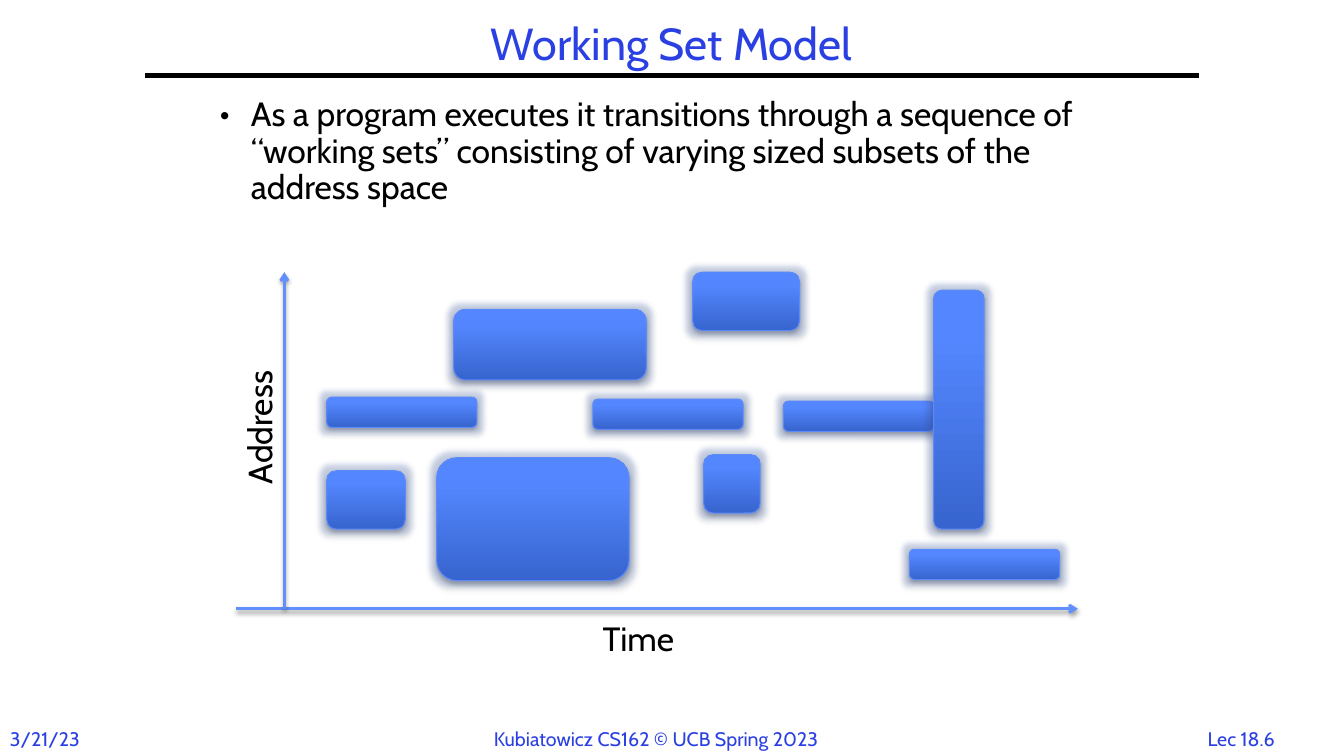
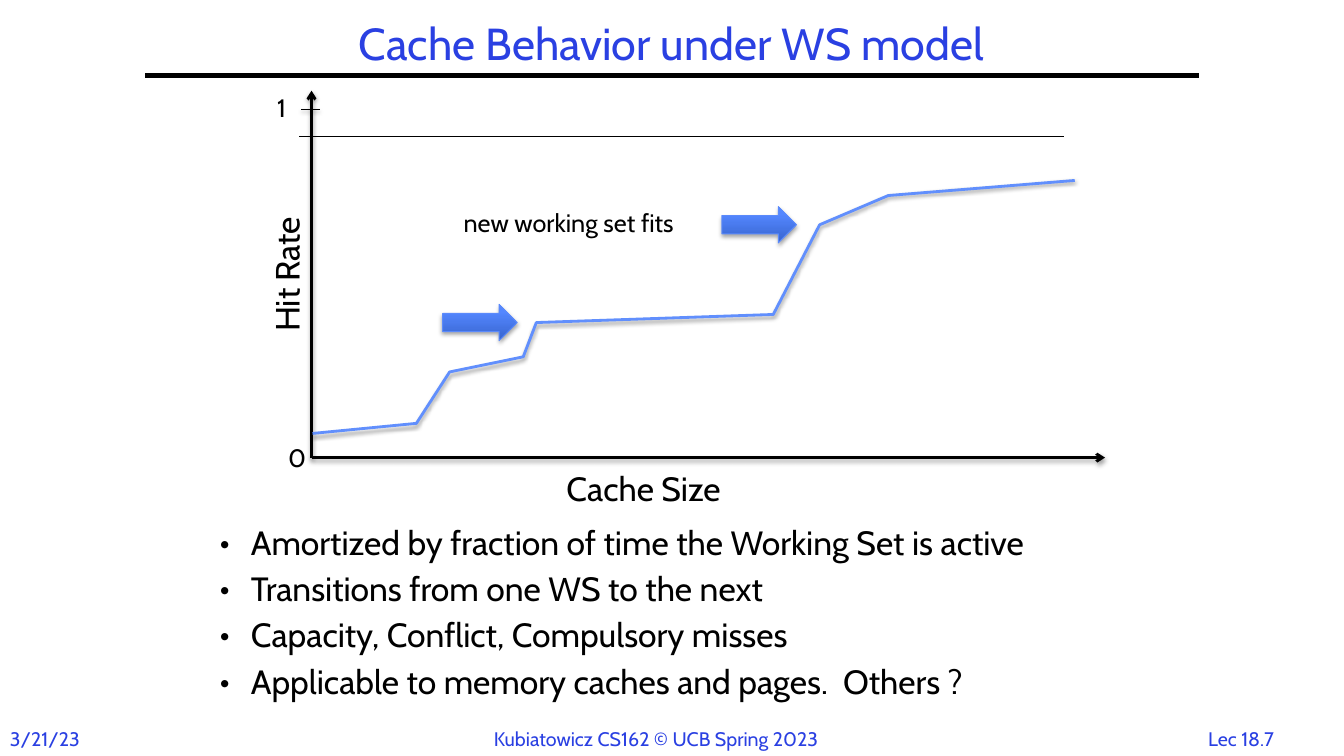
from lxml import etree
from copy import deepcopy
from pptx import Presentation
from pptx.dml.color import RGBColor
from pptx.enum.shapes import MSO_CONNECTOR, MSO_SHAPE
from pptx.enum.text import MSO_ANCHOR, MSO_AUTO_SIZE, PP_ALIGN
from pptx.oxml.ns import qn
from pptx.util import Inches, Pt

FONT = "Cabin"
BLUE = RGBColor(0x2A, 0x40, 0xE2)
BLACK = RGBColor(0, 0, 0)
AXIS_BLUE = RGBColor(0x61, 0x8F, 0xFD)
EDGE_BLUE = RGBColor(0x5B, 0x8A, 0xFB)
HALO_BLUE = RGBColor(0x4A, 0x6C, 0xB4)
GRADIENT = [
    (0, RGBColor(0x37, 0x64, 0xCE)),
    (0.8, RGBColor(0x54, 0x87, 0xFF)),
    (1, RGBColor(0x56, 0x88, 0xFF)),
]

STRAIGHT = MSO_CONNECTOR.STRAIGHT
ROUNDED = MSO_SHAPE.ROUNDED_RECTANGLE
RIGHT_ARROW = MSO_SHAPE.RIGHT_ARROW
LEFT, CENTER = PP_ALIGN.LEFT, PP_ALIGN.CENTER
TITLE_ONLY = 5

DATE = "3/21/23"
COURSE = "Kubiatowicz CS162 © UCB Spring 2023"
LINE_SHADOW = (38, 1.6)
SOLID_SHADOW = (35, 1.8)


def inches(*lengths):
    return [Inches(length) for length in lengths]


def write(para, text, size=24, color=BLACK, align=LEFT, spacing=None):
    para.alignment = align
    para.line_spacing = spacing
    span = para.add_run()
    span.text = text
    span.font.name = FONT
    span.font.size = Pt(size)
    span.font.color.rgb = color


def add_label(page, text, box, rotation=0, **text_format):
    """Place a single line of text that does not wrap."""
    label = page.shapes.add_textbox(*inches(*box))
    label.rotation = rotation
    frame = label.text_frame
    frame.word_wrap = False
    frame.auto_size = MSO_AUTO_SIZE.SHAPE_TO_FIT_TEXT
    write(frame.paragraphs[0], text, **text_format)


def add_effects(shape, shadow=None, halo=False):
    """Replace the theme's effects by a soft drop shadow, a halo, or nothing."""
    properties = shape.element.spPr
    for old in properties.findall(qn("a:effectLst")):
        properties.remove(old)
    effects = etree.SubElement(properties, qn("a:effectLst"))

    def add_effect(tag, color, percent, **settings):
        effect = etree.SubElement(effects, qn(tag), **settings)
        paint = etree.SubElement(effect, qn("a:srgbClr"), val=str(color))
        etree.SubElement(paint, qn("a:alpha"), val=str(percent * 1000))

    if halo:
        add_effect("a:glow", HALO_BLUE, 25, rad=str(Pt(8)))
    if shadow:
        percent, distance = shadow
        add_effect("a:outerShdw", BLACK, percent, blurRad=str(Pt(3.1)),
                   dist=str(Pt(distance)), dir="5400000", rotWithShape="0")


def add_line(page, start, end, color=BLACK, width=2.0, arrow=False,
             shadow=LINE_SHADOW):
    line = page.shapes.add_connector(STRAIGHT, *inches(*start, *end))
    line.line.color.rgb = color
    line.line.width = Pt(width)
    if arrow:
        outline = line.element.spPr.find(qn("a:ln"))
        etree.SubElement(outline, qn("a:tailEnd"), type="arrow")
    add_effects(line, shadow)


def add_axes(page, origin, right, top, start=None, color=BLACK):
    """Draw both axes; the horizontal one may start left of the origin."""
    x, y = origin
    left = x if start is None else start
    add_line(page, (left, y), (right, y), color, arrow=True)
    add_line(page, origin, (x, top), color, arrow=True)


def add_solid(page, kind, box, halo=False):
    """Draw a preset shape with the blue gradient."""
    solid = page.shapes.add_shape(kind, *inches(*box))
    solid.fill.gradient()
    solid.fill.gradient_angle = 90
    stop_list = solid.element.spPr.find(".//" + qn("a:gsLst"))
    stop_list.append(deepcopy(stop_list[-1]))
    for stop, (position, color) in zip(solid.fill.gradient_stops, GRADIENT):
        stop.position = position
        stop.color.rgb = color
    solid.line.color.rgb = EDGE_BLUE
    solid.line.width = Pt(0.75)
    add_effects(solid, SOLID_SHADOW, halo)


def add_curve(page, points):
    first, *rest = [tuple(inches(*point)) for point in points]
    builder = page.shapes.build_freeform(*first)
    builder.add_line_segments(rest, close=False)
    curve = builder.convert_to_shape()
    curve.fill.background()
    curve.line.color.rgb = AXIS_BLUE
    curve.line.width = Pt(2)
    add_effects(curve, LINE_SHADOW)


def add_bullets(page, items, box):
    frame = page.shapes.add_textbox(*inches(*box)).text_frame
    frame.word_wrap = True
    for index, item in enumerate(items):
        para = frame.add_paragraph() if index else frame.paragraphs[0]
        write(para, item, spacing=0.9)
        para.space_before = Pt(7.2 if index else 0)
        settings = para._p.get_or_add_pPr()
        settings.set("marL", str(Inches(0.31)))
        settings.set("indent", str(-Inches(0.31)))
        etree.SubElement(settings, qn("a:buFont"), typeface=FONT)
        etree.SubElement(settings, qn("a:buChar"), char="•")


def add_page(deck, title, number):
    """Add a slide with its title, rule and footer."""
    page = deck.slides.add_slide(deck.slide_layouts[TITLE_ONLY])
    heading = page.shapes.title
    heading.left, heading.top, heading.width, heading.height = inches(
        1.44, 0.17, 10.44, 0.58)
    frame = heading.text_frame
    frame.auto_size = MSO_AUTO_SIZE.NONE
    frame.word_wrap = True
    frame.vertical_anchor = MSO_ANCHOR.MIDDLE
    write(frame.paragraphs[0], title, size=32, color=BLUE, align=CENTER,
          spacing=0.9)
    add_line(page, (1.44, 0.75), (11.89, 0.75), width=3, shadow=None)
    for text, left, width, align in [
        (DATE, 0, 1.1, LEFT),
        (COURSE, 4.8, 3.74, LEFT),
        (f"Lec {number}", 11.77, 1.08, CENTER),
    ]:
        add_label(page, text, (left, 7.16, width, 0.34), size=14, color=BLUE,
                  align=align)
    return page


def draw_working_sets(page, left, top):
    """Plot address ranges in use over time, from the given corner."""
    add_axes(page, (left + 0.48, top + 3.34), left + 8.35, top, start=left,
             color=AXIS_BLUE)
    add_label(page, "Time", (left + 3.54, top + 3.38, 0.94, 0.5))
    add_label(page, "Address", (left - 0.49, top + 1.23, 1.44, 0.5),
              rotation=270)
    strip = (1.49, 0.3)
    for x, y, width, height in [
        (0.9, 1.97, 0.78, 0.58),
        (0.9, 1.24, *strip),
        (1.99, 1.84, 1.91, 1.22),
        (2.16, 0.37, 1.91, 0.7),
        (3.54, 1.26, *strip),
        (4.64, 1.81, 0.56, 0.58),
        (4.53, 0, 1.06, 0.58),
        (5.43, 1.28, *strip),
        (6.92, 0.18, 0.5, 2.37),
        (6.68, 2.75, *strip),
    ]:
        add_solid(page, ROUNDED, (left + x, top + y, width, height), halo=True)


def draw_hit_rate(page, left, bottom):
    """Plot hit rate against cache size, from the given origin."""
    add_axes(page, (left, bottom), left + 7.87, bottom - 3.64)
    add_label(page, "Hit Rate", (left - 0.96, bottom - 2.11, 1.42, 0.5),
              rotation=270)
    add_label(page, "Cache Size", (left + 2.43, bottom + 0.05, 1.93, 0.5))
    curve = [(0.01, 0.24), (1.04, 0.34), (1.37, 0.85), (2.1, 1),
             (2.23, 1.34), (4.58, 1.42), (5.04, 2.31), (5.72, 2.6),
             (7.57, 2.75)]
    add_curve(page, [(left + x, bottom - y) for x, y in curve])
    add_label(page, "new working set fits",
              (left + 1.41, bottom - 2.53, 2.4, 0.4), size=18)
    for x, y in [(4.07, 2.49), (1.3, 1.52)]:
        add_solid(page, RIGHT_ARROW, (left + x, bottom - y, 0.74, 0.36))
    for start, end, height in [(-0.12, 7.46, 3.19), (-0.1, 0.08, 3.45)]:
        add_line(page, (left + end, bottom - height),
                 (left + start, bottom - height), width=0.75)
    for text, x, y in [("0", -0.33, 0.2), ("1", -0.44, 3.67)]:
        add_label(page, text, (left + x, bottom - y, 0.34, 0.4), size=18)


def build_working_set_page(deck):
    page = add_page(deck, "Working Set Model", "18.6")
    add_bullets(page, [
        "As a program executes it transitions through a sequence of "
        "“working sets” consisting of varying sized subsets of the "
        "address space",
    ], (2.08, 0.92, 9, 1.79))
    draw_working_sets(page, 2.34, 2.7)


def build_cache_page(deck):
    page = add_page(deck, "Cache Behavior under WS model", "18.7")
    add_bullets(page, [
        "Amortized by fraction of time the Working Set is active",
        "Transitions from one WS to the next",
        "Capacity, Conflict, Compulsory misses",
        "Applicable to memory caches and pages.  Others ?",
    ], (2.08, 5.17, 9, 1.66))
    draw_hit_rate(page, 3.09, 4.54)


def main():
    deck = Presentation()
    deck.slide_width, deck.slide_height = inches(13.33, 7.5)
    build_working_set_page(deck)
    build_cache_page(deck)
    deck.save("out.pptx")


if __name__ == "__main__":
    main()
